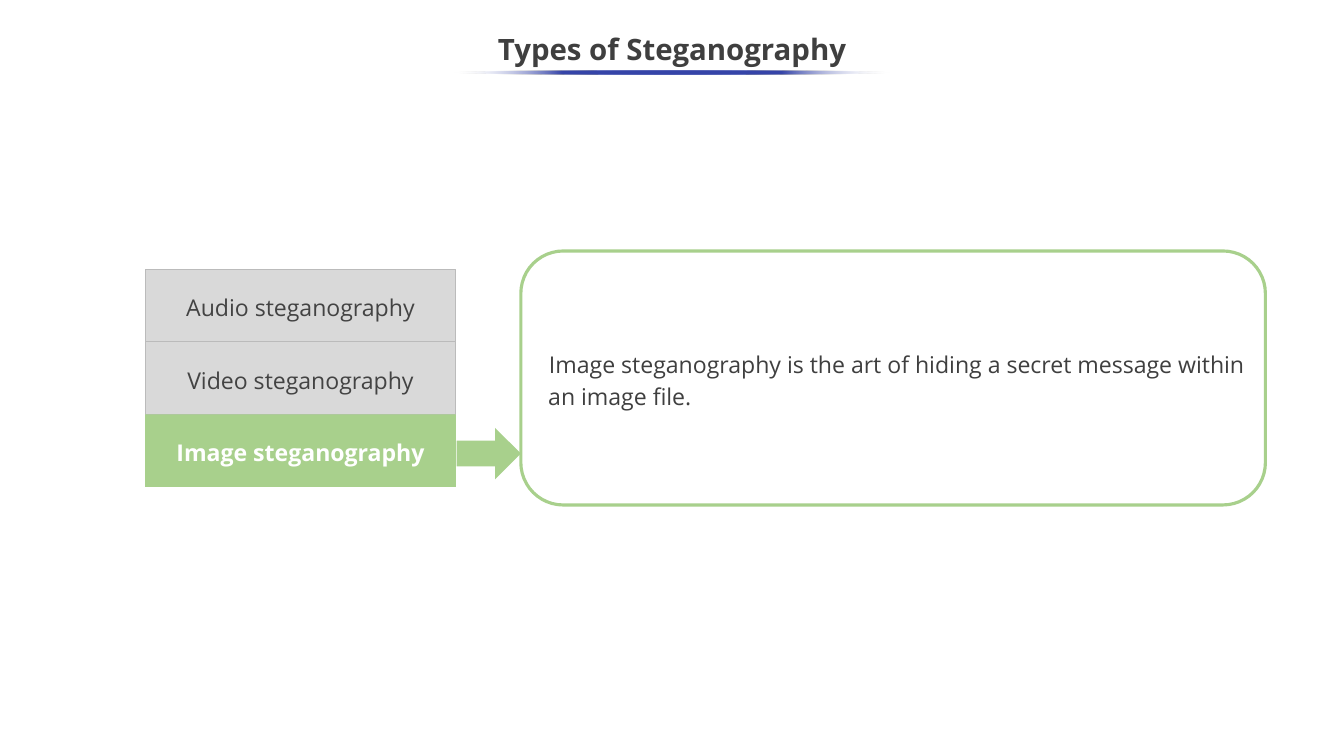
from lxml.etree import SubElement
from pptx import Presentation
from pptx.dml.color import RGBColor
from pptx.enum.shapes import MSO_SHAPE
from pptx.enum.text import MSO_ANCHOR, PP_ALIGN
from pptx.oxml.ns import qn
from pptx.util import Inches, Pt

COLORS = {
    "ink": "3F3F3F",
    "label": "434343",
    "idle": "D9D9D9",
    "border": "BBBBBB",
    "active": "A8D08C",
    "underline": "3645A9",
    "white": "FFFFFF",
}
TYPES = ["Audio steganography", "Video steganography", "Image steganography"]
SELECTED = "Image steganography"
DEFINITION = (
    "Image steganography is the art of hiding a secret message "
    "within an image file."
)
LIST_LEFT, LIST_TOP, CELL_WIDTH, CELL_HEIGHT = 1.92, 3.56, 4.11, 0.96


def color(key):
    return RGBColor.from_string(COLORS[key])


def set_format(target, values):
    for attribute, value in values.items():
        setattr(target, attribute, value)


def write_text(box, text, size, ink, bold=False, align=PP_ALIGN.CENTER,
               spacing=1.15, margins=(0.07, 0.07)):
    frame = box.text_frame
    side, edge = (Inches(margin) for margin in margins)
    set_format(frame, {
        "word_wrap": True,
        "vertical_anchor": MSO_ANCHOR.MIDDLE,
        "margin_left": side,
        "margin_right": side,
        "margin_top": edge,
        "margin_bottom": edge,
    })
    paragraph = frame.paragraphs[0]
    set_format(paragraph, {"alignment": align, "line_spacing": spacing})
    run = paragraph.add_run()
    run.text = text
    set_format(run.font, {"name": "Open Sans", "size": Pt(size), "bold": bold})
    run.font.color.rgb = color(ink)
    return paragraph


def add_block(slide, preset, bounds, fill=None, line=None, weight=0.75):
    block = slide.shapes.add_shape(preset, *map(Inches, bounds))
    block.shadow.inherit = False
    if fill:
        block.fill.solid()
        block.fill.fore_color.rgb = color(fill)
    else:
        block.fill.background()
    if line:
        block.line.color.rgb = color(line)
        block.line.width = Pt(weight)
    else:
        block.line.fill.background()
    return block


def add_title(slide):
    title = slide.shapes.add_textbox(
        Inches(-0.01), Inches(0.3), Inches(17.8), Inches(0.75))
    write_text(title, "Types of Steganography", 28, "ink", bold=True,
               spacing=0.9, margins=(0.1, 0.05))


def add_underline(slide):
    underline = add_block(slide, MSO_SHAPE.OVAL, (6, 0.94, 5.78, 0.04))
    underline.fill.gradient()
    underline.fill.gradient_angle = 180
    stops = underline._element.spPr.find(qn("a:gradFill")).find(qn("a:gsLst"))
    for stop in list(stops):
        stops.remove(stop)
    for position in range(0, 101, 25):
        faded = position in (0, 100)
        stop = SubElement(stops, qn("a:gs"), pos=str(position * 1000))
        tint = SubElement(stop, qn("a:srgbClr"),
                          val=COLORS["white" if faded else "underline"])
        if faded:
            SubElement(tint, qn("a:alpha"), val="0")


def add_type_list(slide):
    for row, name in enumerate(TYPES):
        selected = name == SELECTED
        cell = add_block(
            slide, MSO_SHAPE.RECTANGLE,
            (LIST_LEFT, LIST_TOP + row * CELL_HEIGHT, CELL_WIDTH, CELL_HEIGHT),
            fill="active" if selected else "idle",
            line=None if selected else "border")
        write_text(cell, name, 22, "white" if selected else "label",
                   bold=selected)


def add_definition(slide):
    panel = add_block(slide, MSO_SHAPE.ROUNDED_RECTANGLE,
                      (6.89, 3.32, 9.85, 3.36), line="active", weight=3)
    panel.adjustments[0] = 0.167
    paragraph = write_text(panel, DEFINITION, 22, "ink",
                           align=PP_ALIGN.LEFT, margins=(0.1, 0.1))
    properties = paragraph._p.get_or_add_pPr()
    properties.set("marL", str(Inches(0.1)))
    properties.set("indent", str(Inches(0.01)))


def main():
    presentation = Presentation()
    presentation.slide_width = Inches(17.78)
    presentation.slide_height = Inches(10)
    slide = presentation.slides.add_slide(presentation.slide_layouts[6])
    add_title(slide)
    add_type_list(slide)
    add_definition(slide)
    add_block(slide, MSO_SHAPE.RIGHT_ARROW, (6.04, 5.66, 0.85, 0.68),
              fill="active")
    add_underline(slide)
    presentation.save("out.pptx")


if __name__ == "__main__":
    main()
